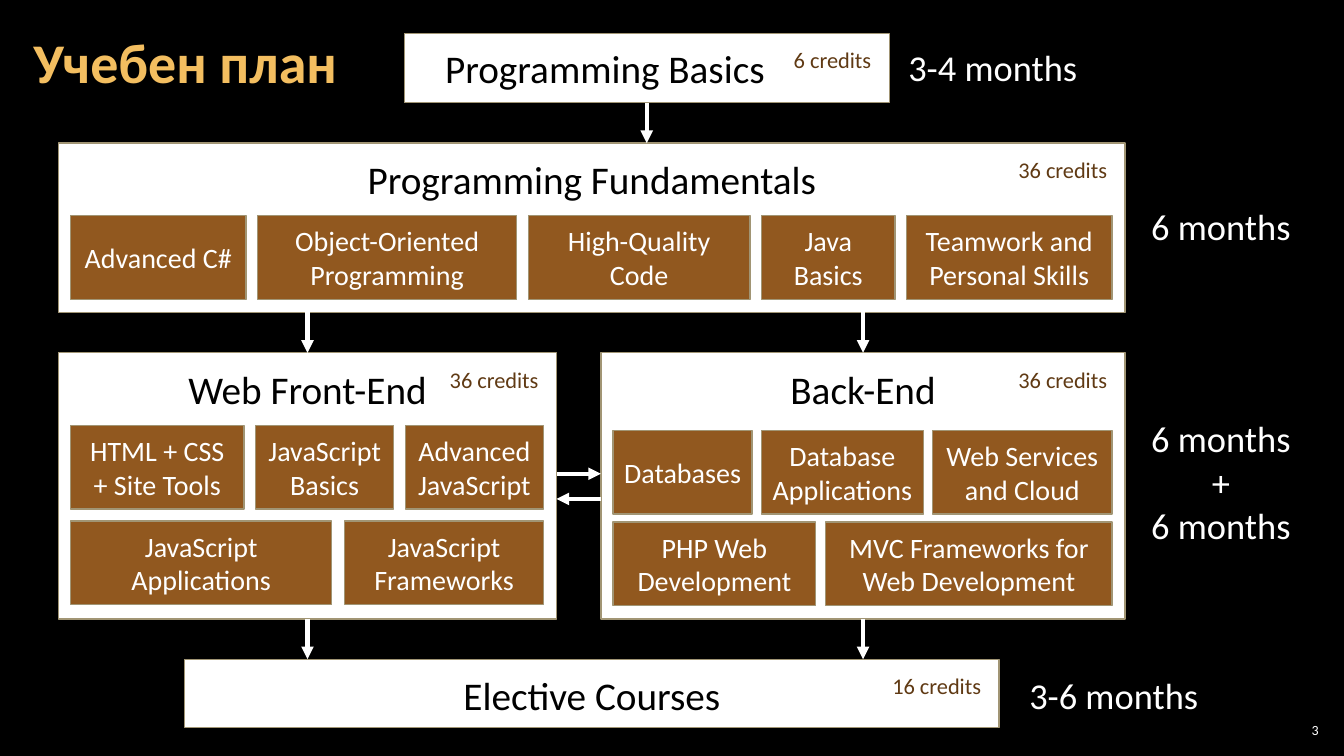
import pptx
import pptx.dml.color
import pptx.enum.shapes
import pptx.enum.text
import pptx.util
from lxml import etree
from pptx.oxml.ns import qn

Inches = pptx.util.Inches
Align = pptx.enum.text.PP_ALIGN
Anchor = pptx.enum.text.MSO_ANCHOR
AutoSize = pptx.enum.text.MSO_AUTO_SIZE

FONT = "Calibri"
WHITE, BLACK, GOLD = "FFFFFF", "000000", "F3BE60"
BROWN, DARK_BROWN, BORDER = "91581F", "603A14", "A19574"
COURSE_HEIGHT = 0.83
COURSE_MARGIN = (0.12, 0.13)
CREDITS_WIDTH, CREDITS_RIGHT, CREDITS_DROP = 1.4, 0.08, 0.08

TITLE = "Учебен план"
STAGES = {
    "Programming Basics": dict(
        at=(4.01, 0.33, 4.81, 0.69), credits="6 credits", top=0.11, right=0.93, rows=[]),
    "Programming Fundamentals": dict(
        at=(0.58, 1.42, 10.58, 1.68), credits="36 credits", top=0.12, right=0.1, rows=[
            (2.14, [("Advanced C#", 1.74), ("Object-Oriented Programming", 2.57),
                    ("High-Quality Code", 2.2), ("Java Basics", 1.32),
                    ("Teamwork and Personal Skills", 2.04)])]),
    "Web Front-End": dict(
        at=(0.58, 3.5, 4.94, 2.64), credits="36 credits", top=0.12, right=0.1, rows=[
            (4.22, [("HTML + CSS + Site Tools", 1.72), ("JavaScript Basics", 1.37),
                    ("Advanced JavaScript", 1.37)]),
            (5.17, [("JavaScript Applications", 2.59), ("JavaScript Frameworks", 1.97)])]),
    "Back-End": dict(
        at=(5.96, 3.5, 5.2, 2.64), credits="36 credits", top=0.12, right=0.1, rows=[
            (4.27, [("Databases", 1.38), ("Database Applications", 1.61),
                    ("Web Services and Cloud", 1.78)]),
            (5.18, [("PHP Web Development", 2.01),
                    ("MVC Frameworks for Web Development", 2.84)])]),
    "Elective Courses": dict(
        at=(1.83, 6.54, 8.08, 0.68), credits="16 credits", top=0.12, right=0.1, rows=[]),
}
DURATIONS = [
    ((8.91, 0.4, 1.89, 0.54), ["3-4 months"]),
    ((11.32, 1.98, 1.6, 0.54), ["6 months"]),
    ((11.32, 4.08, 1.6, 1.41), ["6 months", "+", "6 months"]),
    ((10.11, 6.63, 1.89, 0.54), ["3-6 months"]),
]
DOWN_ARROWS = [
    ("Programming Basics", "bottom", 1.42),
    ("Web Front-End", "top", 3.1),
    ("Back-End", "top", 3.1),
    ("Web Front-End", "bottom", 6.54),
    ("Back-End", "bottom", 6.54),
]
SIDE_ARROWS = [((5.52, 4.7), (5.96, 4.7)), ((5.96, 4.95), (5.52, 4.95))]


def color(value):
    return pptx.dml.color.RGBColor.from_string(value)


def add_line_of_text(para, text, size, tone, align=None, bold=False):
    para.alignment = align
    span = para.add_run()
    span.text = text
    span.font.name = FONT
    span.font.size = pptx.util.Pt(size)
    span.font.bold = bold
    span.font.color.rgb = color(tone)


def add_box(page, at, fill, text, size, tone):
    box = page.shapes.add_shape(
        pptx.enum.shapes.MSO_SHAPE.RECTANGLE, *map(Inches, at))
    box.shadow.inherit = False
    box.fill.solid()
    box.fill.fore_color.rgb = color(fill)
    box.line.color.rgb = color(BORDER)
    box.line.width = pptx.util.Pt(1)
    box.text_frame.word_wrap = True
    box.text_frame.vertical_anchor = Anchor.MIDDLE
    para = box.text_frame.paragraphs[0]
    para.space_before = para.space_after = pptx.util.Pt(3)
    add_line_of_text(para, text, size, tone, Align.CENTER)
    return box


def add_label(page, at, lines, size, tone, wrap, aligns):
    frame = page.shapes.add_textbox(*map(Inches, at)).text_frame
    frame.word_wrap = wrap
    frame.auto_size = AutoSize.SHAPE_TO_FIT_TEXT
    for index, (line, align) in enumerate(zip(lines, aligns)):
        para = frame.add_paragraph() if index else frame.paragraphs[0]
        add_line_of_text(para, line, size, tone, align)


def add_arrow(page, start, end):
    arrow = page.shapes.add_connector(
        pptx.enum.shapes.MSO_CONNECTOR.STRAIGHT, *map(Inches, start + end))
    arrow.line.color.rgb = color(WHITE)
    arrow.line.width = pptx.util.Pt(3)
    outline = arrow._element.spPr.find(qn("a:ln"))
    etree.SubElement(outline, qn("a:tailEnd"), type="triangle")
    etree.SubElement(arrow._element.spPr, qn("a:effectLst"))
    return arrow


def add_stage(page, name, stage):
    left, top, width, height = stage["at"]
    panel = add_box(page, stage["at"], WHITE, name, 28, BLACK)
    panel.text_frame.vertical_anchor = Anchor.TOP
    panel.text_frame.margin_top = Inches(stage["top"])
    panel.text_frame.margin_right = Inches(stage["right"])
    for row_top, courses in stage["rows"]:
        free = width - sum(COURSE_MARGIN) - sum(size for _, size in courses)
        gap = free / (len(courses) - 1)
        course_left = left + COURSE_MARGIN[0]
        for course, course_width in courses:
            add_box(page, (course_left, row_top, course_width, COURSE_HEIGHT),
                    BROWN, course, 20, WHITE)
            course_left += course_width + gap
    credits_left = left + width - CREDITS_RIGHT - CREDITS_WIDTH
    add_label(page, (credits_left, top + CREDITS_DROP, CREDITS_WIDTH, 0.37),
              [stage["credits"]], 16, DARK_BROWN, True, [Align.RIGHT])
    return panel


def set_middle_frame(frame, side_margin):
    frame.vertical_anchor = Anchor.MIDDLE
    frame.margin_left = frame.margin_right = Inches(side_margin)
    frame.margin_top = frame.margin_bottom = Inches(0.04)


def add_title(page):
    title = page.shapes.title
    title.left, title.top, title.width, title.height = map(Inches, (0.21, 0.04, 10.47, 1.21))
    frame = title.text_frame
    frame.auto_size = AutoSize.NONE
    set_middle_frame(frame, 0.12)
    frame.paragraphs[0].line_spacing = 0.9
    add_line_of_text(frame.paragraphs[0], TITLE, 40, GOLD, Align.LEFT, True)


def add_page_number(page):
    frame = page.shapes.add_textbox(*map(Inches, (12.65, 7.14, 0.47, 0.21))).text_frame
    frame.word_wrap = True
    set_middle_frame(frame, 0.04)
    add_line_of_text(frame.paragraphs[0], "3", 10, WHITE, Align.RIGHT)


def main():
    deck = pptx.Presentation()
    deck.slide_width, deck.slide_height = Inches(13.33), Inches(7.5)
    page = deck.slides.add_slide(deck.slide_layouts.get_by_name("Title Only"))
    page.background.fill.solid()
    page.background.fill.fore_color.rgb = color(BLACK)
    add_title(page)
    panels = {name: add_stage(page, name, stage) for name, stage in STAGES.items()}
    for at, lines in DURATIONS:
        aligns = [Align.CENTER if line == "+" else Align.LEFT for line in lines]
        add_label(page, at, lines, 26, WHITE, False, aligns)
    for name, side, far_end in DOWN_ARROWS:
        left, top, width, height = STAGES[name]["at"]
        center = left + width / 2
        if side == "bottom":
            arrow = add_arrow(page, (center, top + height), (center, far_end))
            arrow.begin_connect(panels[name], 2)
        else:
            arrow = add_arrow(page, (center, far_end), (center, top))
            arrow.end_connect(panels[name], 0)
    for start, end in SIDE_ARROWS:
        add_arrow(page, start, end)
    add_page_number(page)
    deck.save("out.pptx")


if __name__ == "__main__":
    main()
